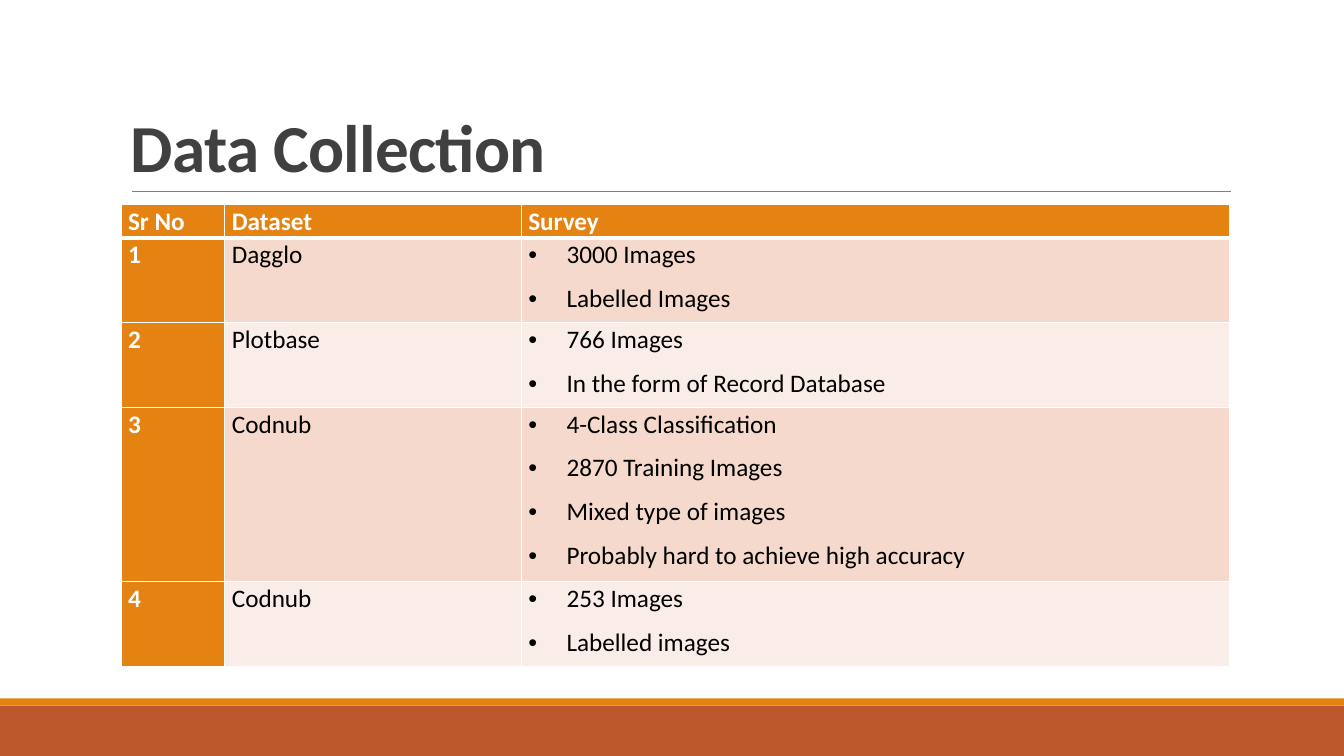
from dataclasses import dataclass

from lxml.etree import SubElement
from pptx import Presentation
from pptx.dml.color import RGBColor
from pptx.enum.shapes import MSO_CONNECTOR, MSO_SHAPE
from pptx.enum.text import MSO_ANCHOR
from pptx.oxml.ns import qn
from pptx.slide import Slide
from pptx.table import _Cell
from pptx.util import Inches, Pt

COLORS = {
    "rust": "BD582C",
    "orange": "E48312",
    "rule": "808080",
    "title": "404040",
    "white": "FFFFFF",
    "black": "000000",
    "odd_row": "F5D9CC",
    "even_row": "FAEDE7",
}
TITLE_FONT = {"name": "Calibri", "size": Pt(48), "bold": True}
HEADING_FONT = {"name": "Calibri", "size": Pt(18), "bold": True}
BODY_FONT = {**HEADING_FONT, "bold": False}
CELL_FORMAT = {
    "margin_left": Inches(0.07),
    "margin_right": Inches(0.07),
    "margin_top": 0,
    "margin_bottom": 0,
}
CELL_PARAGRAPH = {"line_spacing": 1.06, "space_after": Pt(8)}
BULLET_INDENT = Inches(0.38)
HEADINGS = ("Sr No", "Dataset", "Survey")
COLUMN_WIDTHS = (1.03, 2.94, 7.03)
HEADER_HEIGHT = 0.33


@dataclass(frozen=True)
class Band:
    top: float
    height: float
    color: str


@dataclass(frozen=True)
class Dataset:
    name: str
    survey: tuple[str, ...]
    height: float


BANDS = (Band(7, 0.5, "rust"), Band(6.93, 0.07, "orange"))
DATASETS = (
    Dataset("Dagglo", ("3000 Images", "Labelled Images"), 0.84),
    Dataset("Plotbase", ("766 Images", "In the form of Record Database"), 0.84),
    Dataset(
        "Codnub",
        (
            "4-Class Classification",
            "2870 Training Images",
            "Mixed type of images",
            "Probably hard to achieve high accuracy",
        ),
        1.73,
    ),
    Dataset("Codnub", ("253 Images", "Labelled images"), 0.84),
)


def rgb(color: str) -> RGBColor:
    return RGBColor.from_string(COLORS[color])


def apply(target: object, values: dict) -> None:
    for attribute, value in values.items():
        setattr(target, attribute, value)


def draw_band(slide: Slide, band: Band) -> None:
    strip = slide.shapes.add_shape(
        MSO_SHAPE.RECTANGLE, 0, Inches(band.top), Inches(13.33), Inches(band.height)
    )
    strip.shadow.inherit = False
    strip.fill.solid()
    strip.fill.fore_color.rgb = rgb(band.color)
    strip.line.fill.background()


def draw_title(slide: Slide, wording: str) -> None:
    rule = slide.shapes.add_connector(
        MSO_CONNECTOR.STRAIGHT, Inches(1.31), Inches(1.9), Inches(12.21), Inches(1.9)
    )
    rule.line.color.rgb = rgb("rule")
    rule.line.width = Pt(0.5)
    SubElement(rule._element.spPr, qn("a:effectLst"))

    title = slide.shapes.add_textbox(Inches(1.2), Inches(0.31), Inches(11), Inches(1.59))
    apply(title.text_frame, {"word_wrap": True, "vertical_anchor": MSO_ANCHOR.BOTTOM})
    paragraph = title.text_frame.paragraphs[0]
    paragraph.line_spacing = 0.85
    run = paragraph.add_run()
    run.text = wording
    apply(run.font, TITLE_FONT)
    run.font.color.rgb = rgb("title")
    run._r.get_or_add_rPr().set("spc", "-50")


def draw_borders(cell: _Cell, top: float, bottom: float) -> None:
    properties = cell._tc.get_or_add_tcPr()
    for side, width in {"L": 1, "R": 1, "T": top, "B": bottom}.items():
        edge = SubElement(properties, qn(f"a:ln{side}"), w=str(Pt(width)))
        fill = SubElement(edge, qn("a:solidFill"))
        SubElement(fill, qn("a:srgbClr"), val=COLORS["white"])


def fill_cell(
    cell: _Cell, lines: tuple[str, ...], color: str, heading: bool, bulleted: bool
) -> None:
    apply(cell, CELL_FORMAT)
    cell.fill.solid()
    cell.fill.fore_color.rgb = rgb(color)
    cell.text_frame.text = "\n".join(lines)
    for paragraph in cell.text_frame.paragraphs:
        apply(paragraph, CELL_PARAGRAPH)
        font = paragraph.runs[0].font
        apply(font, HEADING_FONT if heading else BODY_FONT)
        font.color.rgb = rgb("white" if heading else "black")
        if bulleted:
            properties = paragraph._p.get_or_add_pPr()
            properties.set("marL", str(BULLET_INDENT))
            properties.set("indent", str(-BULLET_INDENT))
            SubElement(properties, qn("a:buFont"), typeface="Arial")
            SubElement(properties, qn("a:buChar"), char="•")


def draw_datasets(slide: Slide) -> None:
    heights = [HEADER_HEIGHT, *(dataset.height for dataset in DATASETS)]
    table = slide.shapes.add_table(
        len(heights), len(HEADINGS), Inches(1.2), Inches(2.03),
        Inches(sum(COLUMN_WIDTHS)), Inches(sum(heights)),
    ).table
    apply(table, {"first_col": True, "horz_banding": False})
    for column, width in zip(table.columns, COLUMN_WIDTHS):
        column.width = Inches(width)
    for row, height in zip(table.rows, heights):
        row.height = Inches(height)

    contents = [[(heading,) for heading in HEADINGS]]
    for number, dataset in enumerate(DATASETS, 1):
        contents.append([(str(number),), (dataset.name,), dataset.survey])
    for r, row in enumerate(contents):
        for c, lines in enumerate(row):
            cell = table.cell(r, c)
            heading = r == 0 or c == 0
            shade = "odd_row" if r % 2 else "even_row"
            draw_borders(cell, top=3 if r == 1 else 1, bottom=3 if r == 0 else 1)
            fill_cell(cell, lines, "orange" if heading else shade, heading, r > 0 and c == 2)


def main() -> None:
    presentation = Presentation()
    apply(presentation, {"slide_width": Inches(13.33), "slide_height": Inches(7.5)})
    slide = presentation.slides.add_slide(presentation.slide_layouts[6])
    for band in BANDS:
        draw_band(slide, band)
    draw_title(slide, "Data Collection")
    draw_datasets(slide)
    presentation.save("out.pptx")


if __name__ == "__main__":
    main()
